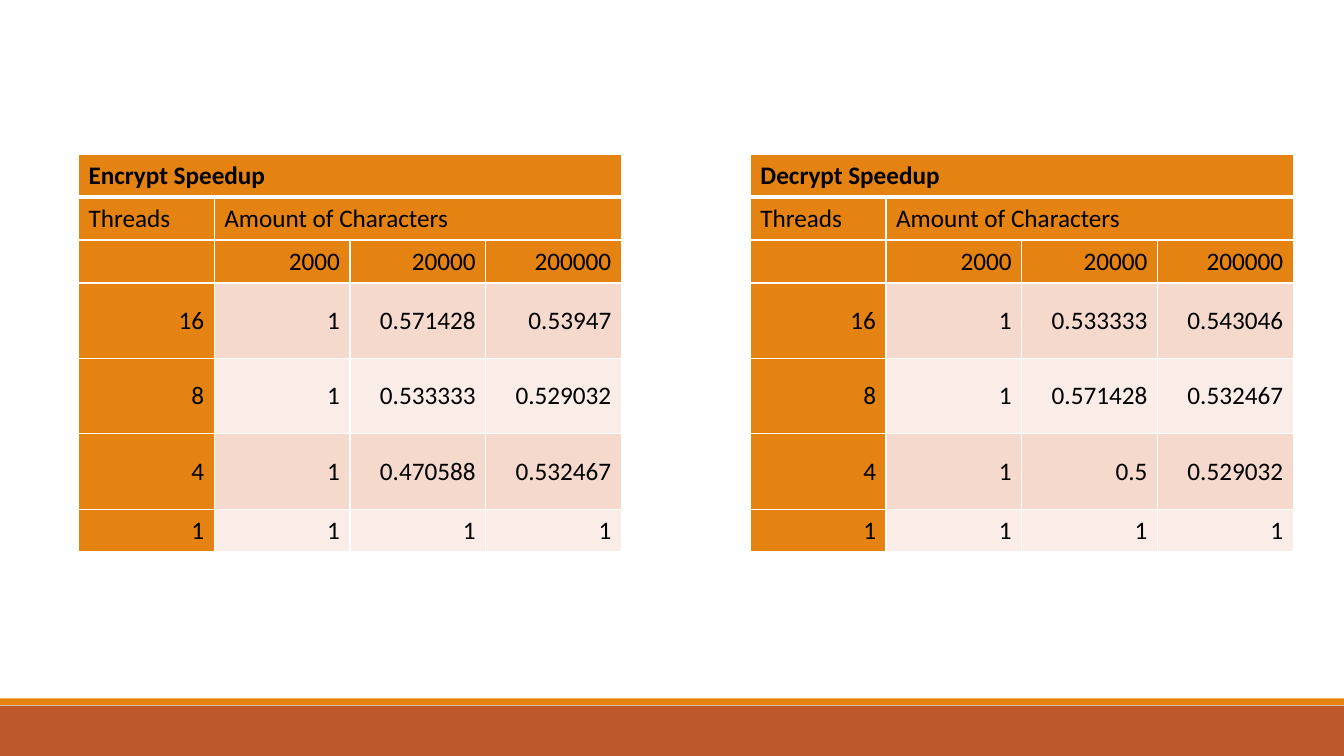
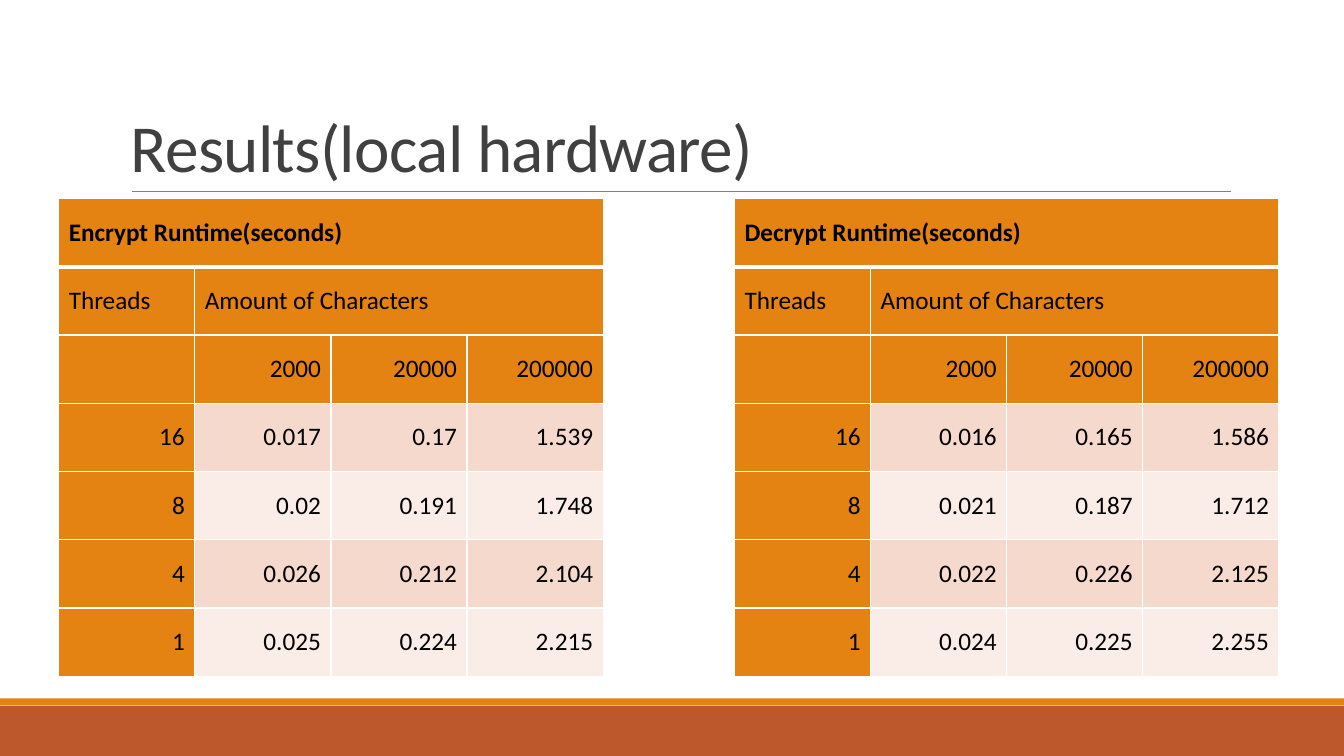
from lxml.etree import SubElement
from pptx import Presentation
from pptx.dml.color import RGBColor
from pptx.enum.shapes import MSO_CONNECTOR as LINE, MSO_SHAPE as SHAPE
from pptx.enum.text import MSO_ANCHOR as ANCHOR, PP_ALIGN as ALIGN
from pptx.oxml import parse_xml
from pptx.oxml.ns import nsdecls, qn
from pptx.util import Cm, Pt

RUST = RGBColor(0xBD, 0x58, 0x2C)
ORANGE = RGBColor(0xE4, 0x83, 0x12)
ROSE = RGBColor(0xF5, 0xD9, 0xCC)
PALE = RGBColor(0xFA, 0xED, 0xE7)
WHITE = RGBColor(0xFF, 0xFF, 0xFF)
BLACK = RGBColor(0, 0, 0)
DARK = RGBColor(0x40, 0x40, 0x40)
GREY = RGBColor(0x80, 0x80, 0x80)
FONT = "Calibri"
WIDTH = Cm(33.87)

# Each table is two blocks side by side; a row holds threads, left, right
PAGES = [
    dict(title=None, kind="Speedup", left=1.98, top=3.89, col=3.42, gap=3.25,
         heights=[1.08] * 3 + [1.9] * 3 + [1.08],
         data=[("16", "1 0.571428 0.53947", "1 0.533333 0.543046"),
               ("8", "1 0.533333 0.529032", "1 0.571428 0.532467"),
               ("4", "1 0.470588 0.532467", "1 0.5 0.529032"),
               ("1", "1 1 1", "1 1 1")]),
    dict(title="Results(local hardware)", kind="Runtime(seconds)",
         left=1.48, top=5, col=3.43, gap=3.31, heights=[1.72] * 7,
         data=[("16", "0.017 0.17 1.539", "0.016 0.165 1.586"),
               ("8", "0.02 0.191 1.748", "0.021 0.187 1.712"),
               ("4", "0.026 0.212 2.104", "0.022 0.226 2.125"),
               ("1", "0.025 0.224 2.215", "0.024 0.225 2.255")]),
]


def style(run, size, color, bold=False):
    run.font.name = FONT
    run.font.size = Pt(size)
    run.font.bold = bold
    run.font.color.rgb = color


def edge(cell, row):
    """Draw white cell borders, thick between the heading row and the rest."""
    props = cell._tc.get_or_add_tcPr()
    thick = {(0, "B"), (1, "T")}
    for i, side in enumerate("LRTB"):
        width = Pt(3 if (row, side) in thick else 1)
        props.insert(i, parse_xml(
            f'<a:ln{side} {nsdecls("a")} w="{width}"><a:solidFill>'
            f'<a:srgbClr val="{WHITE}"/></a:solidFill></a:ln{side}>'))


deck = Presentation()
deck.slide_width, deck.slide_height = WIDTH, Cm(19.05)

for page in PAGES:
    slide = deck.slides.add_slide(deck.slide_layouts[6])
    shapes = slide.shapes

    # Bottom bands
    for top, high, color in ((17.78, 1.27, RUST), (17.6, 0.17, ORANGE)):
        band = shapes.add_shape(SHAPE.RECTANGLE, 0, Cm(top), WIDTH, Cm(high))
        band.shadow.inherit = False
        band.fill.solid()
        band.fill.fore_color.rgb = color
        band.line.fill.background()

    # Title and rule
    if page["title"]:
        rule = shapes.add_connector(LINE.STRAIGHT, Cm(3.33), Cm(4.83), Cm(31.01), Cm(4.83))
        rule.line.color.rgb = GREY
        rule.line.width = Pt(0.5)
        SubElement(rule._element.spPr, qn("a:effectLst"))

        box = shapes.add_textbox(Cm(3.05), Cm(0.79), Cm(27.94), Cm(4.04))
        frame = box.text_frame
        frame.word_wrap = True
        frame.vertical_anchor = ANCHOR.BOTTOM
        frame.text = page["title"]
        para = frame.paragraphs[0]
        para.line_spacing = 0.85
        style(para.runs[0], 48, DARK)
        para.runs[0]._r.get_or_add_rPr().set("spc", "-50")

    # Table text, with an empty column between the blocks
    kind = page["kind"]
    sizes = ["2000", "20000", "200000"]
    heads = ["Threads", "Amount of Characters", "", ""]
    grid = [[f"Encrypt {kind}", "", "", "", "", f"Decrypt {kind}", "", "", ""],
            heads + [""] + heads,
            ["", *sizes, "", "", *sizes]]
    for count, enc, dec in page["data"]:
        grid.append([count, *enc.split(), "", count, *dec.split()])

    # Table frame
    wides = [page["col"]] * 4 + [page["gap"]] + [page["col"]] * 4
    highs = page["heights"]
    table = shapes.add_table(len(grid), len(wides), Cm(page["left"]), Cm(page["top"]),
                             Cm(sum(wides)), Cm(sum(highs))).table
    table.first_row = table.horz_banding = False
    for col, wide in zip(table.columns, wides):
        col.width = Cm(wide)
    for row, high in zip(table.rows, highs):
        row.height = Cm(high)
    for start in (0, 5):
        table.cell(0, start).merge(table.cell(0, start + 3))
        table.cell(1, start + 1).merge(table.cell(1, start + 3))

    # Cells
    for r, texts in enumerate(grid):
        for c, text in enumerate(texts):
            cell = table.cell(r, c)
            if c == 4:
                color = WHITE
            elif r < 3 or c in (0, 5):
                color = ORANGE
            else:
                color = ROSE if r % 2 else PALE
            cell.fill.solid()
            cell.fill.fore_color.rgb = color
            edge(cell, r)
            cell.vertical_anchor = ANCHOR.MIDDLE
            if text:
                cell.text_frame.text = text
                para = cell.text_frame.paragraphs[0]
                para.alignment = ALIGN.LEFT if r < 2 else ALIGN.RIGHT
                style(para.runs[0], 18, BLACK, bold=r == 0)

deck.save("out.pptx")
